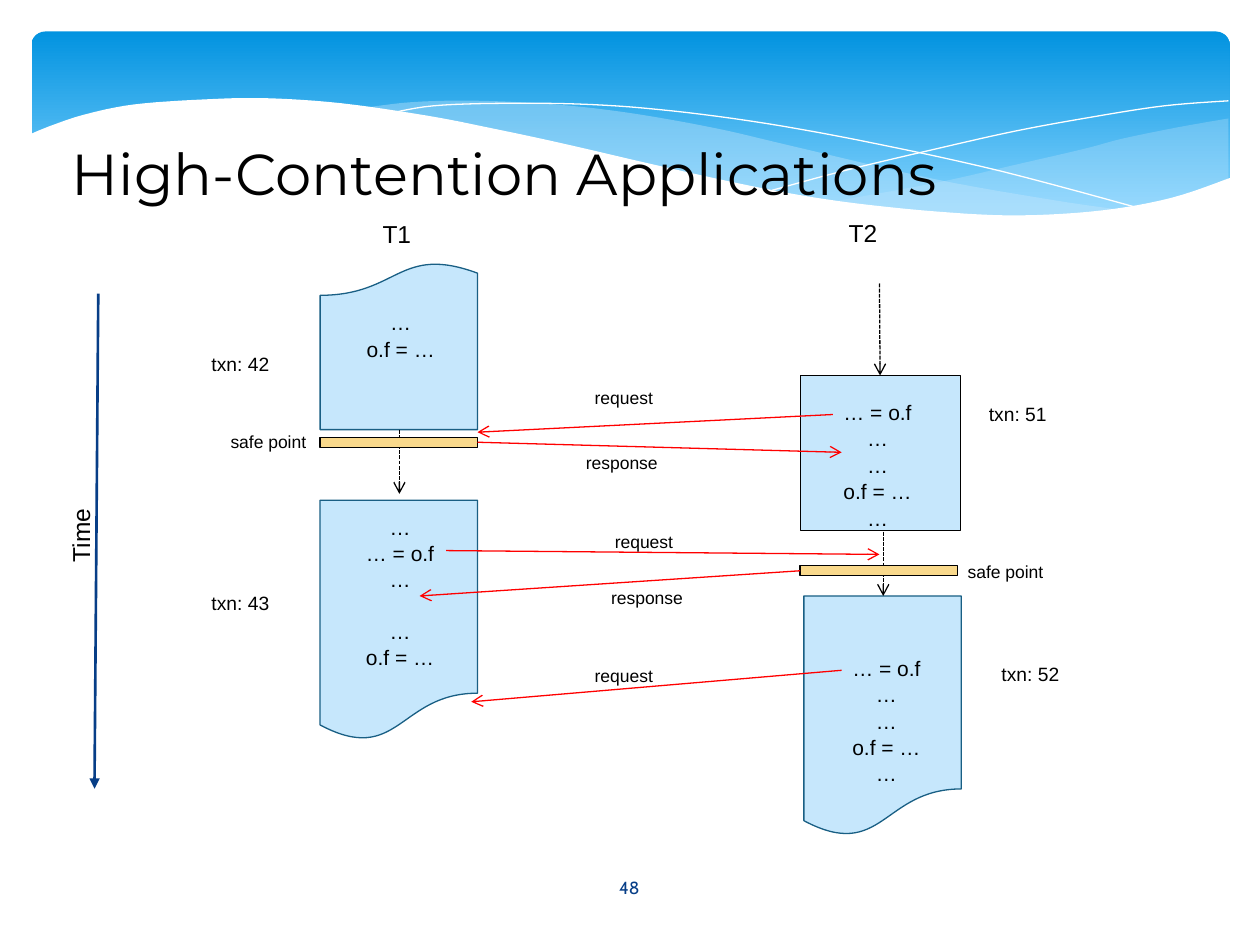
"""Build the High-Contention Applications timeline slide."""
import pptx
import pptx.dml.color
import pptx.enum.dml
import pptx.enum.shapes
import pptx.enum.text
import pptx.oxml.ns
import pptx.util
from lxml import etree

EMU_PER_PX = 9144
SHAPES = pptx.enum.shapes.MSO_SHAPE
ANCHOR = pptx.enum.text.MSO_ANCHOR
ALIGN = pptx.enum.text.PP_ALIGN
SKY, AMBER, NAVY, RED, BLACK, WHITE = "C6E7FC", "F9D98C", "073E87", "FF0000", "000000", "FFFFFF"
EDGE = "195F84"
CODE_LINES = ["… = o.f", "…", "…", "o.f = …", "…"]
LABEL = {"size": 10, "insets": (8, 4)}
HEADING = {"size": 14, "insets": (10, 10)}
CODE = {"size": 12, "insets": (8, 4), "align": ALIGN.CENTER, "line_spacing": 1.05}

WAVES = [
    ([[(975, 94), (935, 101), (891, 110), (861, 118), (805, 131), (753, 143), (706, 152), (661, 160)],
      [(661, 160), (705, 165), (757, 170), (814, 172), (863, 170), (905, 163), (942, 154), (975, 142)]],
     {"fill": SKY, "opacity": 29}),
    ([[(893, 167), (837, 159), (741, 142), (629, 116), (569, 102), (502, 90), (442, 83), (380, 80),
       (328, 81), (286, 86)],
      [(286, 86), (342, 94), (404, 106), (491, 126), (584, 146), (665, 161), (736, 169), (807, 173),
       (867, 170), (893, 167)]],
     {"fill": SKY, "opacity": 40}),
    ([[(309, 90), (344, 84), (401, 82), (469, 83), (533, 88), (608, 98), (695, 114), (795, 136),
       (907, 166)]], {"line": WHITE}),
    ([[(613, 151), (672, 135), (748, 117), (806, 104), (866, 93), (924, 84), (975, 80)]],
     {"line": WHITE}),
    ([[(977, 141), (930, 157), (875, 167), (809, 171), (744, 168), (668, 160), (603, 149), (529, 133),
       (447, 114), (391, 102), (340, 92), (271, 82), (211, 78), (161, 79), (106, 83), (67, 91),
       (40, 100), (23, 107)],
      [(23, 107), (23, 224)], [(23, 224), (977, 224)]], {"fill": WHITE}),
]


def px(length):
    """Turn px into EMU."""
    return pptx.util.Emu(round(length * EMU_PER_PX))


def color(value):
    """Turn a hex string into a colour."""
    return pptx.dml.color.RGBColor.from_string(value)


def set_values(target, values):
    """Set attributes of an object from a dict."""
    for name, value in values.items():
        setattr(target, name, value)


def add_xml(parent, tag, **attributes):
    """Append a DrawingML element to a parent."""
    return etree.SubElement(parent, pptx.oxml.ns.qn(tag), attributes)


def paint(shape, fill=None, line=None, width=0, opacity=None):
    """Set the fill and outline of a shape and drop its shadow."""
    shape.shadow.inherit = False
    if fill:
        shape.fill.solid()
        shape.fill.fore_color.rgb = color(fill)
    else:
        shape.fill.background()
    if opacity:
        solid = shape._element.spPr.find(pptx.oxml.ns.qn("a:solidFill"))
        add_xml(solid[0], "a:alpha", val=str(opacity * 1000))
    if line:
        shape.line.color.rgb = color(line)
        shape.line.width = pptx.util.Pt(width)
    else:
        shape.line.fill.background()


def add_block(slide, kind, box, rotation=0, **look):
    """Add a painted preset shape."""
    shape = slide.shapes.add_shape(kind, *map(px, box))
    shape.rotation = rotation
    paint(shape, **look)
    return shape


def smooth_curve(knots, steps=6):
    """Return points of a Catmull-Rom curve through the knots."""
    padded = [knots[0], *knots, knots[-1]]
    points = [knots[0]]
    for a, b, c, d in zip(padded, padded[1:], padded[2:], padded[3:]):
        for step in range(1, steps + 1):
            t = step / steps
            points.append(tuple(
                (2 * q + (r - p) * t + (2 * p - 5 * q + 4 * r - s) * t**2
                 + (3 * q - p - 3 * r + s) * t**3) / 2
                for p, q, r, s in zip(a, b, c, d)))
    return points


def add_wave(slide, curves, look):
    """Add an outline made of smooth curves joined end to end."""
    points = [(px(x), px(y)) for knots in curves for x, y in smooth_curve(knots)]
    builder = slide.shapes.build_freeform(*points[0], scale=1.0)
    builder.add_line_segments(points[1:], close="fill" in look)
    paint(builder.convert_to_shape(), **look)


def add_banner(slide):
    """Add the gradient banner with its waves."""
    banner = add_block(slide, SHAPES.ROUNDED_RECTANGLE, (25, 25, 951, 156))
    banner.adjustments[0] = 0.07
    banner.fill.gradient()
    banner.fill.gradient_angle = 270
    for stop, position, value in zip(banner.fill.gradient_stops, (0, 0.9), ("0293E0", "83D3FE")):
        stop.position = position
        stop.color.rgb = color(value)
    for curves, look in WAVES:
        add_wave(slide, curves, look)


def add_text(slide, box, lines, size=11, font="Arial", ink=BLACK, align=ALIGN.LEFT,
             anchor=ANCHOR.TOP, insets=(10, 5), rotation=0, line_spacing=None, gap_before=None):
    """Add a text box with one paragraph per line."""
    shape = slide.shapes.add_textbox(*map(px, box))
    shape.rotation = rotation
    side, end = map(px, insets)
    set_values(shape.text_frame, {
        "word_wrap": True, "vertical_anchor": anchor, "margin_left": side,
        "margin_right": side, "margin_top": end, "margin_bottom": end})
    shape.text_frame.text = "\n".join(lines)
    for index, paragraph in enumerate(shape.text_frame.paragraphs):
        set_values(paragraph, {"alignment": align, "line_spacing": line_spacing})
        if index == gap_before:
            paragraph.space_before = pptx.util.Pt(size * 1.2)
        set_values(paragraph.font, {"size": pptx.util.Pt(size), "name": font})
        paragraph.font.color.rgb = color(ink)


def add_arrow(slide, ends, ink, width=0.75, head="arrow", dashed=False):
    """Add a straight arrow."""
    arrow = slide.shapes.add_connector(pptx.enum.shapes.MSO_CONNECTOR.STRAIGHT, *map(px, ends))
    arrow.line.color.rgb = color(ink)
    arrow.line.width = pptx.util.Pt(width)
    if dashed:
        arrow.line.dash_style = pptx.enum.dml.MSO_LINE.SQUARE_DOT
    properties = arrow._element.spPr
    add_xml(properties.find(pptx.oxml.ns.qn("a:ln")), "a:tailEnd", type=head)
    add_xml(properties, "a:effectLst")
    return arrow


def add_threads(slide):
    """Add the transactions, safe points and arrows of both threads."""
    for box, rotation in (((254, 208, 125, 133), 180), ((254, 397, 125, 191), 0),
                          ((638, 473, 125, 191), 0)):
        add_block(slide, SHAPES.FLOWCHART_DOCUMENT, box, rotation, fill=SKY, line=EDGE)
    transaction = add_block(slide, SHAPES.RECTANGLE, (635, 298, 127, 123),
                            fill=SKY, line=BLACK, width=0.5)
    for x, top, bottom in ((317, 341, 392), (701, 422, 473)):
        add_arrow(slide, (x, top, x, bottom), BLACK, dashed=True)
    start = add_arrow(slide, (698, 225, 698, 298), BLACK, dashed=True)
    start.end_connect(transaction, 0)
    first_point, second_point = [
        add_block(slide, SHAPES.RECTANGLE, (x, y, 125, 8), fill=AMBER, line=BLACK, width=0.75)
        for x, y in ((254, 347), (635, 449))]
    for ends, bar, site in (((661, 329, 379, 343), None, 0), ((379, 351, 668, 359), first_point, 3),
                            ((354, 437, 698, 440), None, 0), ((635, 453, 333, 473), second_point, 1),
                            ((668, 532, 374, 557), None, 0)):
        arrow = add_arrow(slide, ends, RED)
        if bar:
            arrow.begin_connect(bar, site)


def add_labels(slide):
    """Add the code and the labels around it."""
    add_text(slide, (282, 241, 72, 54), ["…", "o.f = …"], **CODE)
    add_text(slide, (282, 403, 71, 70), ["…", "… = o.f", "…", "…", "o.f = …"], gap_before=3, **CODE)
    for x, y in ((661, 312), (668, 515)):
        add_text(slide, (x, y, 71, 70), CODE_LINES, **CODE)
    for label, x, y, width in (
            ("request", 464, 303, 70), ("response", 457, 355, 75), ("request", 480, 417, 70),
            ("response", 477, 462, 75), ("request", 464, 524, 70),
            ("safe point", 175, 338, 83), ("safe point", 760, 441, 83)):
        add_text(slide, (x, y, width, 32), [label], **LABEL)
    for number, x, y in ((42, 158, 275), (43, 158, 464), (51, 775, 314), (52, 785, 521)):
        add_text(slide, (x, y, 90, 29), [f"txn: {number}"])
    for thread, x, y in (("T1", 265, 164), ("T2", 635, 163)):
        add_text(slide, (x, y, 100, 20), [thread], align=ALIGN.CENTER, **HEADING)


def main():
    """Build and save the slide."""
    presentation = pptx.Presentation()
    set_values(presentation, {"slide_width": px(1000), "slide_height": px(750)})
    slide = presentation.slides.add_slide(presentation.slide_layouts[6])
    add_banner(slide)
    add_text(slide, (48, 19, 884, 150), ["High-Contention Applications"], size=33,
             font="Montserrat", anchor=ANCHOR.BOTTOM, insets=(9, 5))
    add_arrow(slide, (78, 233, 75, 626), NAVY, width=1.5, head="triangle")
    add_text(slide, (1, 395, 102, 20), ["Time"], rotation=270, **HEADING)
    add_threads(slide)
    add_labels(slide)
    add_text(slide, (436, 684, 127, 40), ["48"], size=10, font="Cabin", ink=NAVY,
             align=ALIGN.CENTER, anchor=ANCHOR.MIDDLE)
    presentation.save("out.pptx")


if __name__ == "__main__":
    main()
